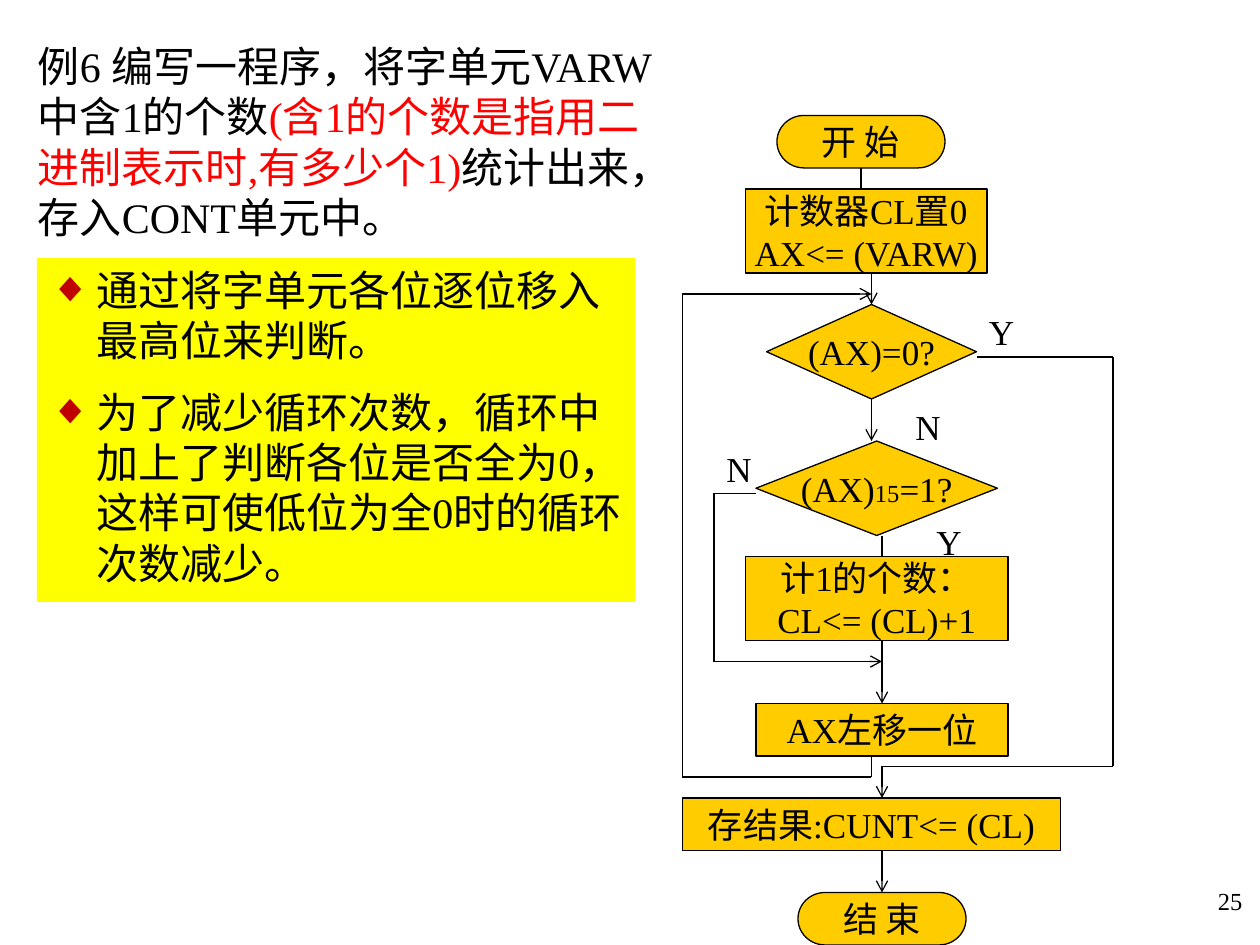
"""Build the slide on counting the 1 bits of a word, with its flowchart."""
from itertools import pairwise

from lxml.etree import SubElement
from pptx import Presentation
from pptx.dml.color import RGBColor
from pptx.enum.shapes import MSO_CONNECTOR, MSO_SHAPE as Preset
from pptx.enum.text import MSO_ANCHOR as Anchor, MSO_AUTO_SIZE as AutoSize, PP_ALIGN as Align
from pptx.oxml.ns import qn
from pptx.util import Pt

BLACK = RGBColor(0, 0, 0)
RED = RGBColor(255, 0, 0)
YELLOW = RGBColor(255, 255, 0)
GOLD = RGBColor(255, 204, 0)
FONT = "Times New Roman"
BULLET_COLOR = "C00000"


def set_font(paragraph, size, alignment):
    paragraph.alignment = alignment
    paragraph.font.name = FONT
    paragraph.font.size = Pt(size)
    paragraph.font.color.rgb = BLACK


def add_label(slide, text, left, top, width, height, size, alignment):
    frame = slide.shapes.add_textbox(Pt(left), Pt(top), Pt(width), Pt(height)).text_frame
    frame.word_wrap = True
    frame.text = text
    set_font(frame.paragraphs[0], size, alignment)


presentation = Presentation()
presentation.slide_width, presentation.slide_height = Pt(720), Pt(540)
slide = presentation.slides.add_slide(presentation.slide_layouts[5])

title = slide.shapes.title
title.left, title.top, title.width, title.height = Pt(14.4), Pt(19.5), Pt(381.5), Pt(124)
title.text_frame.auto_size = AutoSize.NONE
title.text_frame.vertical_anchor = Anchor.TOP
paragraph = title.text_frame.paragraphs[0]
set_font(paragraph, 24, Align.LEFT)
for text, color in [
    ("例6 编写一程序，将字单元VARW 中含1的个数", BLACK),
    ("(含1的个数是指用二进制表示时,有多少个1)", RED),
    ("统计出来，存入CONT单元中。", BLACK),
]:
    run = paragraph.add_run()
    run.text = text
    run.font.color.rgb = color

notes_box = slide.shapes.add_shape(Preset.RECTANGLE, Pt(21), Pt(147.5), Pt(342), Pt(196.5))
notes_box.shadow.inherit = False
notes_box.fill.solid()
notes_box.fill.fore_color.rgb = YELLOW
notes_box.line.fill.background()
notes_box.text_frame.vertical_anchor = Anchor.TOP
notes_box.text_frame.text = (
    "通过将字单元各位逐位移入最高位来判断。\n"
    "为了减少循环次数，循环中加上了判断各位是否全为0，这样可使低位为全0时的循环次数减少。"
)
notes_box.text_frame.paragraphs[1].space_before = Pt(12)
for paragraph in notes_box.text_frame.paragraphs:
    properties = paragraph._p.get_or_add_pPr()
    properties.set("marL", str(Pt(27)))
    properties.set("indent", str(-Pt(27)))
    bullet_color = SubElement(properties, qn("a:buClr"))
    SubElement(bullet_color, qn("a:srgbClr"), val=BULLET_COLOR)
    SubElement(properties, qn("a:buFont"), typeface=FONT)
    SubElement(properties, qn("a:buChar"), char="◆")
    set_font(paragraph, 24, Align.LEFT)

steps = [
    (Preset.FLOWCHART_TERMINATOR, 444, 66, 96, 30, ["开 始"]),
    (Preset.RECTANGLE, 426, 108, 138, 48, ["计数器CL置0", "AX<= (VARW)"]),
    (Preset.FLOWCHART_DECISION, 438, 174, 120, 54, ["(AX)=0?"]),
    (Preset.FLOWCHART_DECISION, 432, 252, 138, 54, ["(AX)|15|=1?"]),
    (Preset.RECTANGLE, 426, 318, 150, 48, ["计1的个数：", "CL<= (CL)+1"]),
    (Preset.RECTANGLE, 432, 402, 144, 30, ["AX左移一位"]),
    (Preset.RECTANGLE, 390, 456, 216, 30, ["存结果:CUNT<= (CL)"]),
    (Preset.FLOWCHART_TERMINATOR, 456, 510, 96, 30, ["结 束"]),
]
for preset, left, top, width, height, lines in steps:
    step = slide.shapes.add_shape(preset, Pt(left), Pt(top), Pt(width), Pt(height))
    step.shadow.inherit = False
    step.fill.solid()
    step.fill.fore_color.rgb = GOLD
    step.line.color.rgb = BLACK
    step.line.width = Pt(0.75)
    frame = step.text_frame
    frame.word_wrap = False
    frame.vertical_anchor = Anchor.MIDDLE
    frame.text = "\n".join(lines)
    for paragraph, line in zip(frame.paragraphs, lines):
        set_font(paragraph, 20, Align.CENTER)
        if "|" in line:
            paragraph.clear()
            for part in line.split("|"):
                run = paragraph.add_run()
                run.text = part
                run.font.size = Pt(14 if part == "15" else 20)

routes = [
    ([(492, 96), (492, 108)], False),
    ([(498, 156), (498, 174)], True),
    ([(498, 228), (498, 252)], True),
    ([(504, 306), (504, 318)], False),
    ([(504, 366), (504, 402)], True),
    ([(504, 486), (504, 510)], True),
    ([(558, 204), (636, 204), (636, 438), (504, 438), (504, 456)], True),
    ([(432, 282), (408, 282), (408, 378), (504, 378)], True),
    ([(498, 432), (498, 444), (390, 444), (390, 168), (498, 168)], True),
]
for points, has_arrow in routes:
    for start, end in pairwise(points):
        connector = slide.shapes.add_connector(
            MSO_CONNECTOR.STRAIGHT, *map(Pt, start), *map(Pt, end)
        )
        connector.line.color.rgb = BLACK
        connector.line.width = Pt(0.75)
        if has_arrow and end == points[-1]:
            SubElement(connector.line._get_or_add_ln(), qn("a:tailEnd"), type="arrow")
        SubElement(connector._element.spPr, qn("a:effectLst"))

for text, left, top, width in [
    ("Y", 558, 174, 42),
    ("N", 516, 228, 30),
    ("N", 408, 252, 30),
    ("Y", 528, 294, 48),
]:
    add_label(slide, text, left, top, width, 31, 20, Align.LEFT)
add_label(slide, "25", 660, 502.5, 57, 36, 14, Align.RIGHT)

presentation.save("out.pptx")
